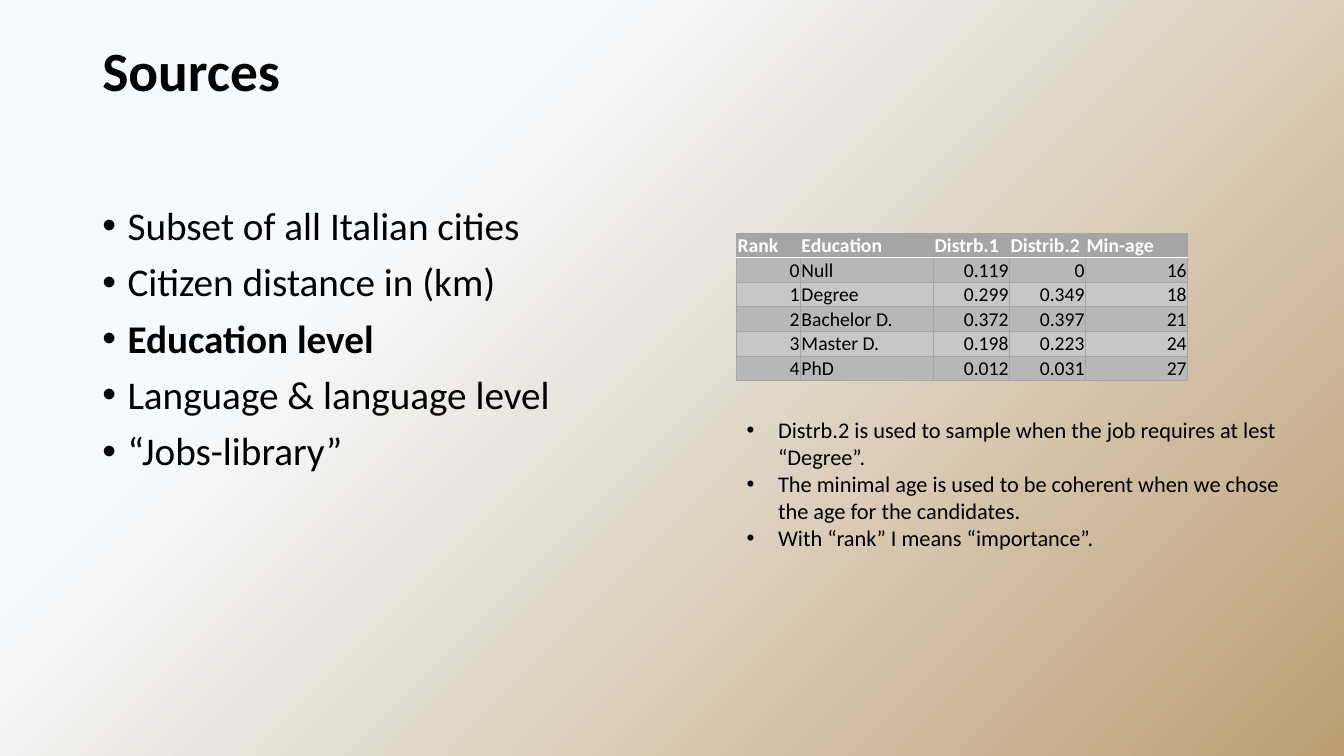
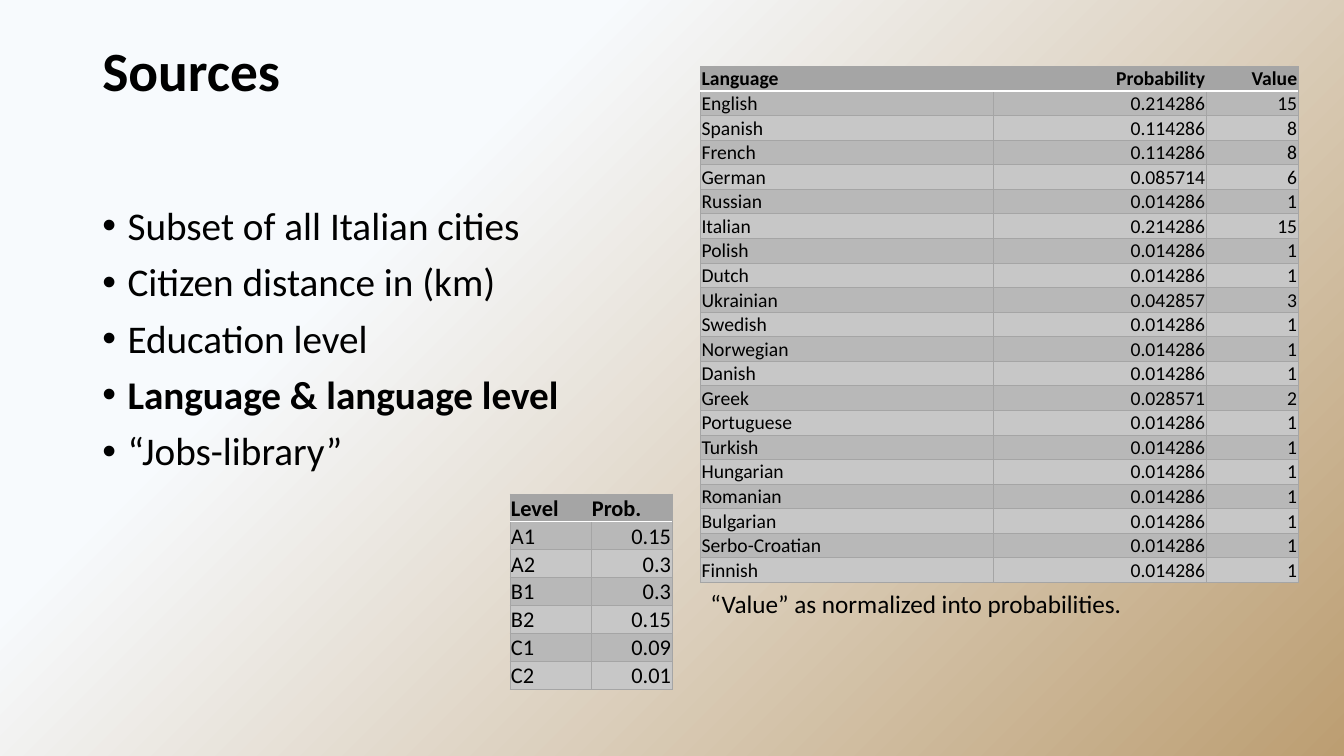
from dataclasses import dataclass

import pptx
import pptx.dml.color
import pptx.enum.text
import pptx.oxml.ns
import pptx.oxml.xmlchemy
import pptx.util
from lxml import etree

ALIGN = pptx.enum.text.PP_ALIGN
ANCHOR = pptx.enum.text.MSO_ANCHOR
qn = pptx.oxml.ns.qn


@dataclass(frozen=True)
class Theme:
    """Colours, type sizes and grid shared by the slides."""

    font: str = "Calibri"
    ink: str = "000000"
    white: str = "FFFFFF"
    paper: str = "F7FAFD"
    sand: str = "BC9E72"
    header: str = "A5A5A5"
    dark_band: str = "B8B8B8"
    light_band: str = "C7C7C7"
    title: float = 39.6
    topic: float = 28
    caption: float = 18
    note: float = 16
    cell: float = 14
    columns: int = 160
    rows: int = 90


THEME = Theme()
WIDTH, HEIGHT = pptx.util.Inches(13.333), pptx.util.Inches(7.5)

TOPICS = [
    "Subset of all Italian cities",
    "Citizen distance in (km)",
    "Education level",
    "Language & language level",
    "“Jobs-library”",
]
EDUCATION = [
    ("Rank", "Education", "Distrb.1", "Distrib.2", "Min-age"),
    (0, "Null", 0.119, 0, 16),
    (1, "Degree", 0.299, 0.349, 18),
    (2, "Bachelor D.", 0.372, 0.397, 21),
    (3, "Master D.", 0.198, 0.223, 24),
    (4, "PhD", 0.012, 0.031, 27),
]
EDUCATION_NOTES = [
    "Distrb.2 is used to sample when the job requires at lest “Degree”.",
    "The minimal age is used to be coherent when we chose the age for the candidates.",
    "With “rank” I means “importance”.",
]
LANGUAGE_VALUES = {
    "English": 15, "Spanish": 8, "French": 8, "German": 6, "Russian": 1,
    "Italian": 15, "Polish": 1, "Dutch": 1, "Ukrainian": 3, "Swedish": 1,
    "Norwegian": 1, "Danish": 1, "Greek": 2, "Portuguese": 1, "Turkish": 1,
    "Hungarian": 1, "Romanian": 1, "Bulgarian": 1, "Serbo-Croatian": 1,
    "Finnish": 1,
}
LEVELS = [
    ("Level", "Prob."),
    ("A1", 0.15), ("A2", 0.3), ("B1", 0.3),
    ("B2", 0.15), ("C1", 0.09), ("C2", 0.01),
]


def across(columns):
    """Turn grid columns into a length."""
    return round(WIDTH * columns / THEME.columns)


def down(rows):
    """Turn grid rows into a length."""
    return round(HEIGHT * rows / THEME.rows)


def rgb(colour):
    """Turn a hex string into a colour."""
    return pptx.dml.color.RGBColor.from_string(colour)


def write(paragraph, text, size, colour=THEME.ink, bold=False, align=ALIGN.LEFT,
          spacing=None, before=0, indent=0):
    """Set one paragraph's text and format, with a bullet if it is indented."""
    paragraph.alignment = align
    paragraph.line_spacing = spacing
    paragraph.space_before = pptx.util.Pt(before)
    run = paragraph.add_run()
    run.text = text
    run.font.name = THEME.font
    run.font.size = pptx.util.Pt(size)
    run.font.bold = bold
    run.font.color.rgb = rgb(colour)
    if indent:
        properties = paragraph._p.get_or_add_pPr()
        properties.set("marL", str(across(indent)))
        properties.set("indent", str(-across(indent)))
        etree.SubElement(properties, qn("a:buFont"), typeface="Arial")
        etree.SubElement(properties, qn("a:buChar"), char="•")


def add_text(slide, box, lines, bold_line=None, anchor=ANCHOR.TOP, wrap=True, **style):
    """Place lines of text in a grid box, with one line bold if named."""
    left, top, width, height = box
    frame = slide.shapes.add_textbox(
        across(left), down(top), across(width), down(height)).text_frame
    frame.word_wrap = wrap
    frame.vertical_anchor = anchor
    for index, line in enumerate(lines):
        paragraph = frame.add_paragraph() if index else frame.paragraphs[0]
        write(paragraph, line, bold=line == bold_line, **style)


def add_border(cell, side, colour, weight):
    """Draw one side of a cell."""
    line = etree.SubElement(cell._tc.get_or_add_tcPr(), qn(f"a:ln{side}"),
                            w=str(pptx.util.Pt(weight)))
    fill = etree.SubElement(line, qn("a:solidFill"))
    etree.SubElement(fill, qn("a:srgbClr"), val=colour)


def style_cell(cell, row):
    """Give a cell its borders, band colour and margins."""
    rule_side = {0: "B", 1: "T"}.get(row)
    for side in "LRTB":
        is_rule = side == rule_side
        add_border(cell, side, THEME.white if is_rule else THEME.header,
                   1 if is_rule else 0.5)
    band = THEME.dark_band if row % 2 else THEME.light_band
    cell.fill.solid()
    cell.fill.fore_color.rgb = rgb(band if row else THEME.header)
    cell.margin_left = cell.margin_right = cell.margin_top = pptx.util.Inches(0.01)
    cell.margin_bottom = 0
    cell.vertical_anchor = ANCHOR.BOTTOM


def add_grid_table(slide, corner, widths, row_height, records, size=THEME.cell,
                   header_colour=THEME.ink, align_header=False):
    """Place a banded table whose number columns are set right."""
    left, top = corner
    table = slide.shapes.add_table(
        len(records), len(widths), across(left), down(top),
        across(sum(widths)), down(row_height * len(records))).table
    for column, width in zip(table.columns, widths):
        column.width = across(width)
    for row, record in enumerate(records):
        table.rows[row].height = down(row_height)
        for column, value in enumerate(record):
            cell = table.cell(row, column)
            style_cell(cell, row)
            sample = records[1][column] if align_header else value
            write(cell.text_frame.paragraphs[0], str(value), size,
                  colour=THEME.ink if row else header_colour, bold=row == 0,
                  align=ALIGN.LEFT if isinstance(sample, str) else ALIGN.RIGHT)


def add_background(master):
    """Fill the master with the diagonal gradient."""
    fill = master.background.fill
    fill.gradient()
    fill.gradient_angle = 315
    stops = [(0.29, THEME.paper), (1, THEME.sand)]
    for stop, (position, colour) in zip(fill.gradient_stops, stops):
        stop.position = position
        stop.color.rgb = rgb(colour)


def add_sources_slide(deck, current_topic):
    """Add a slide with the title and the topics, the current one bold."""
    slide = deck.slides.add_slide(deck.slide_layouts[6])
    add_text(slide, (11, 4.8, 138, 8), ["Sources"], bold_line="Sources",
             anchor=ANCHOR.MIDDLE, size=THEME.title, spacing=0.9)
    add_text(slide, (11, 24, 72.5, 57), TOPICS, bold_line=current_topic,
             size=THEME.topic, spacing=0.9, before=10, indent=3)
    return slide


def add_education_slide(deck):
    """Add the slide on education levels."""
    slide = add_sources_slide(deck, "Education level")
    add_grid_table(slide, (87.7, 27.75), (7.6, 15.85, 9.05, 9.05, 12.15), 2.9,
                   EDUCATION, header_colour=THEME.white)
    add_text(slide, (87.7, 49, 67.8, 17.8), EDUCATION_NOTES,
             size=THEME.note, indent=3.75)


def add_language_slide(deck):
    """Add the slide on languages and their levels."""
    slide = add_sources_slide(deck, "Language & language level")
    total = sum(LANGUAGE_VALUES.values())
    languages = [("Language", "Probability", "Value")]
    languages += [(language, round(value / total, 6), value)
                  for language, value in LANGUAGE_VALUES.items()]
    add_grid_table(slide, (83.4, 7.9), (34.8, 25.4, 10.95), 2.9, languages,
                   align_header=True)
    add_grid_table(slide, (60.7, 58.8), (9.65, 9.65), 3.3, LEVELS, size=THEME.note)
    add_text(slide, (83.4, 69.4, 51.8, 4.8),
             ["“Value” as normalized into probabilities."],
             size=THEME.caption, wrap=False)


def main():
    """Build and save the deck."""
    deck = pptx.Presentation()
    deck.slide_width, deck.slide_height = WIDTH, HEIGHT
    add_background(deck.slide_master)
    add_education_slide(deck)
    add_language_slide(deck)
    deck.save("out.pptx")


if __name__ == "__main__":
    main()
